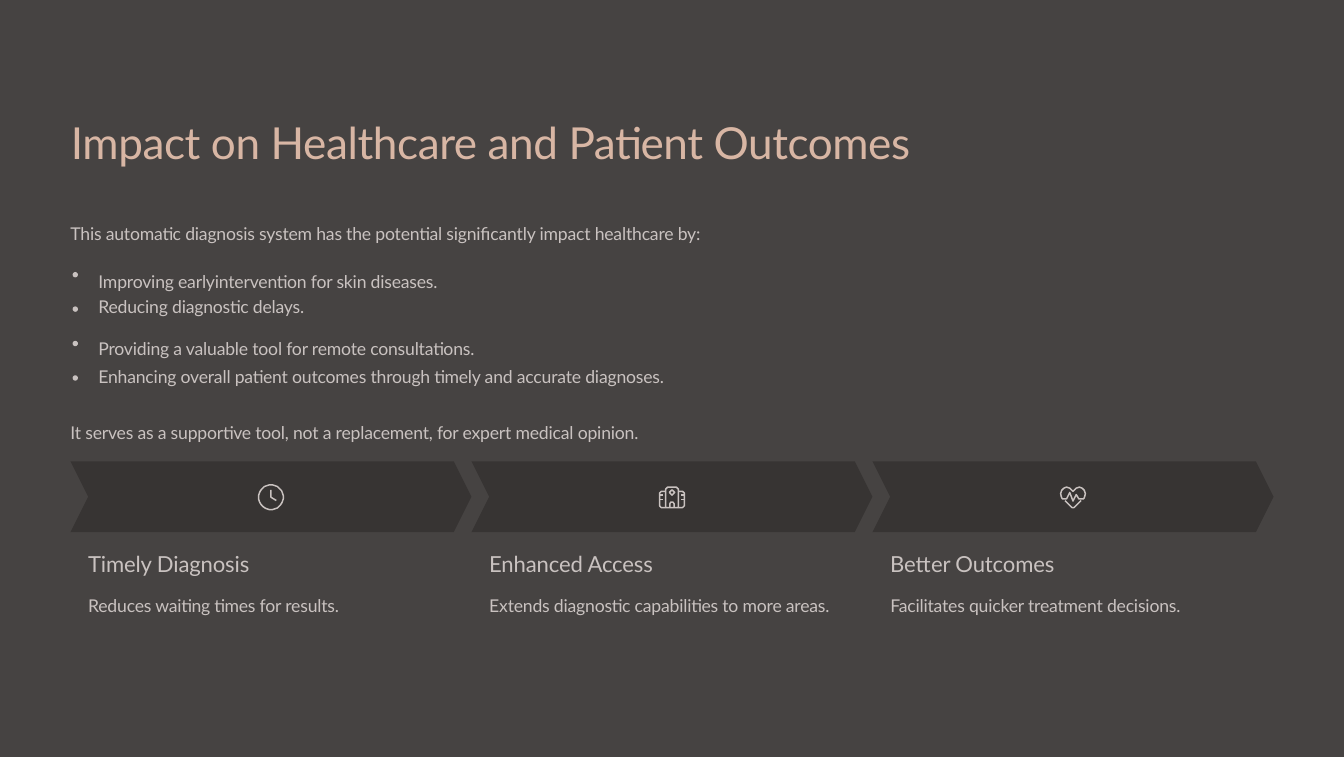
from math import cos, pi, sin

from pptx import Presentation
from pptx.dml.color import RGBColor
from pptx.enum.shapes import MSO_SHAPE
from pptx.enum.text import MSO_AUTO_SIZE
from pptx.util import Emu, Pt

PX = 4572
BACKGROUND = "464342"
CHEVRON = "373433"
TEXT = "C9C2C0"
TITLE = "D8B6A4"


def add_filled_shape(preset, left, top, width, height, color):
    shape = slide.shapes.add_shape(
        preset, Emu(left * PX), Emu(top * PX), Emu(width * PX), Emu(height * PX)
    )
    shape.shadow.inherit = False
    shape.fill.solid()
    shape.fill.fore_color.rgb = RGBColor.from_string(color)
    shape.line.fill.background()
    return shape


def add_text(left, top, width, height, lines, size, color=TEXT, tracking=-10):
    box = slide.shapes.add_textbox(
        Emu(left * PX), Emu(top * PX), Emu(width * PX), Emu(height * PX)
    )
    frame = box.text_frame
    frame.margin_left = frame.margin_right = frame.margin_top = frame.margin_bottom = 0
    frame.word_wrap = True
    frame.auto_size = MSO_AUTO_SIZE.SHAPE_TO_FIT_TEXT
    frame.text = "\n".join(text for text, spacing in lines)
    for paragraph, (text, spacing) in zip(frame.paragraphs, lines):
        paragraph.line_spacing = Pt(spacing)
        run = paragraph.runs[0]
        run.font.name = "Lato"
        run.font.size = Pt(size)
        run.font.color.rgb = RGBColor.from_string(color)
        run._r.get_or_add_rPr().set("spc", str(tracking))


presentation = Presentation()
presentation.slide_width = Emu(2500 * PX)
presentation.slide_height = Emu(1408 * PX)
slide = presentation.slides.add_slide(presentation.slide_layouts[6])
slide.background.fill.solid()
slide.background.fill.fore_color.rgb = RGBColor.from_string(BACKGROUND)

add_text(132, 272, 1646, 54, [("Impact on Healthcare and Patient Outcomes", 14.8)], 29.5, TITLE, -28)
add_text(
    131, 372, 1292, 72,
    [("This automatic diagnosis system has the potential significantly impact healthcare by:", 29.5)],
    11.8,
)

benefits = [
    ("Improving earlyintervention for skin diseases.", 29.5),
    ("Reducing diagnostic delays.", 17),
    ("Providing a valuable tool for remote consultations.", 28),
    ("Enhancing overall patient outcomes through timely and accurate diagnoses.", 18.5),
]
for index in range(len(benefits)):
    add_filled_shape(MSO_SHAPE.OVAL, 135, 506 + 64 * index, 10, 10, TEXT)
add_text(183, 461, 1122, 262, benefits, 11.8)

add_text(
    131, 742, 1124, 72,
    [("It serves as a supportive tool, not a replacement, for expert medical opinion.", 29.5)],
    11.8,
)

clock_face = [(23 * cos(step * pi / 24), 23 * sin(step * pi / 24)) for step in range(48)]
clock = [(clock_face, True), ([(0, -14), (0, 0), (10, 6)], False)]

hospital = [
    ([(-12, 19), (-12, -15), (-8, -19), (8, -19), (12, -15), (12, 19)], True),
    ([(-4, 19), (-4, 12), (-2, 9), (2, 9), (4, 12), (4, 19)], False),
    ([(0, -14), (5, -9), (0, -4), (-5, -9)], True),
]
for side in (-1, 1):
    wing = [(12, -11), (20, -11), (23, -8), (23, 16), (20, 19), (12, 19)]
    for points in (wing, [(23, -4), (16, -4)], [(23, 4), (16, 4)]):
        hospital.append(([(side * x, y) for x, y in points], False))

lobe = [(-20, 3), (-22, -2), (-23, -7), (-21, -13), (-17, -17), (-12, -19), (-6, -17), (0, -11)]
heart = [
    (lobe + [(-x, y) for x, y in reversed(lobe[:-1])], False),
    ([(-20, 3), (-12, 3), (-6, -9), (0, 7), (6, -5), (11, 3), (20, 3)], False),
    ([(-15, 6), (-2, 19), (2, 19), (15, 6)], False),
]

steps = [
    ("Timely Diagnosis", 324, "Reduces waiting times for results.", 502, clock),
    ("Enhanced Access", 322, "Extends diagnostic capabilities to more areas.", 678, hospital),
    ("Better Outcomes", 314, "Facilitates quicker treatment decisions.", 584, heart),
]
for index, (heading, heading_width, detail, detail_width, icon) in enumerate(steps):
    left = 131 + 746 * index
    chevron = add_filled_shape(MSO_SHAPE.CHEVRON, left, 858, 746, 132, CHEVRON)
    chevron.adjustments[0] = 0.25
    for points, closed in icon:
        builder = slide.shapes.build_freeform(*points[0], scale=PX)
        builder.add_line_segments(points[1:], close=closed)
        stroke = builder.convert_to_shape(Emu((left + 373) * PX), Emu(925 * PX))
        stroke.shadow.inherit = False
        stroke.fill.background()
        stroke.line.color.rgb = RGBColor.from_string(TEXT)
        stroke.line.width = Pt(1)
    add_text(left + 33, 1016, heading_width, 54, [(heading, 20.7)], 14.8, tracking=-8)
    add_text(left + 33, 1073, detail_width, 64, [(detail, 26.4)], 11.8)

presentation.save("out.pptx")
